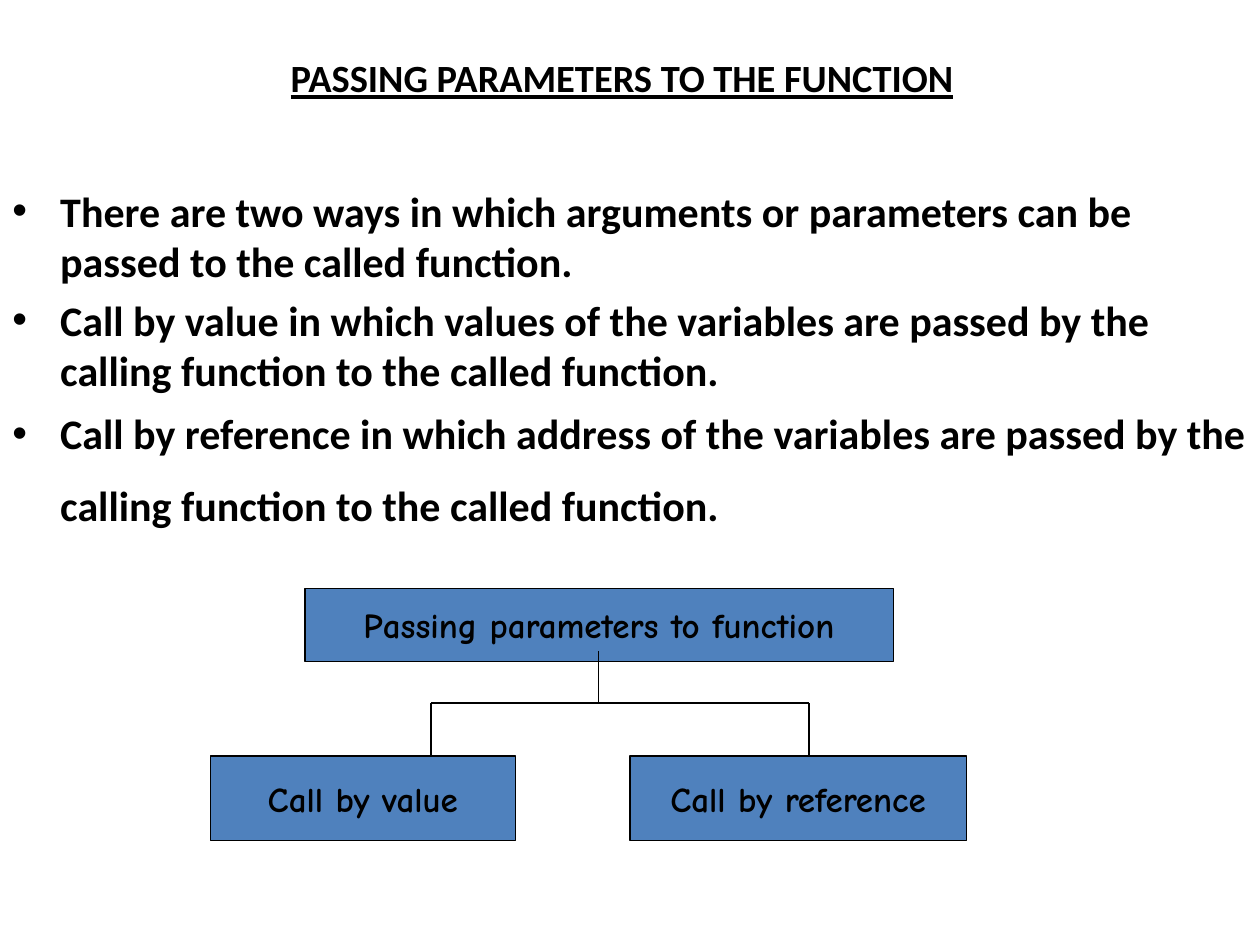
from dataclasses import dataclass

from lxml.etree import SubElement
from pptx import Presentation
from pptx.dml.color import RGBColor
from pptx.enum.shapes import MSO_CONNECTOR, MSO_SHAPE
from pptx.enum.text import MSO_ANCHOR, PP_ALIGN
from pptx.oxml.ns import qn
from pptx.slide import Slide
from pptx.text.text import TextFrame, _Paragraph
from pptx.util import Inches, Pt


@dataclass(frozen=True)
class Theme:
    ink: RGBColor = RGBColor(0x00, 0x00, 0x00)
    box_fill: RGBColor = RGBColor(0x4F, 0x81, 0xBD)
    text_font: str = "Calibri"
    diagram_font: str = "Comic Neue"
    title_size: int = 22
    title_end_size: int = 40
    bullet_size: int = 24
    bullet_end_size: int = 36
    box_size: int = 20
    line_width: float = 0.75


@dataclass(frozen=True)
class Box:
    label: str
    left: float
    top: float
    width: float
    height: float


@dataclass(frozen=True)
class Line:
    x1: float
    y1: float
    x2: float
    y2: float


THEME = Theme()
TITLE = "PASSING PARAMETERS TO THE FUNCTION"
BULLETS = (
    "There are two ways in which arguments or parameters can be passed to the called function.",
    "Call by value in which values of the variables are passed by the calling function "
    "to the called function.",
    "Call by reference in which address of the variables are passed by the calling function "
    "to the called function.",
)

BRANCH_TOP, CHILD_TOP = 5.58, 6
BRANCH_LEFT, BRANCH_RIGHT, STEM = 3.42, 6.42, 4.75
BOXES = (
    Box("Passing parameters to function", 2.42, 4.67, 4.67, 0.58),
    Box("Call by value", 1.67, CHILD_TOP, 2.42, 0.67),
    Box("Call by reference", 5, CHILD_TOP, 2.67, 0.67),
)
LINES = (
    Line(STEM, 5.17, STEM, BRANCH_TOP),
    Line(BRANCH_LEFT, BRANCH_TOP, BRANCH_RIGHT, BRANCH_TOP),
    *(Line(x, BRANCH_TOP, x, CHILD_TOP) for x in (BRANCH_LEFT, BRANCH_RIGHT)),
)


def style(paragraph: _Paragraph, font_name: str, size: int) -> None:
    font = paragraph.font
    font.name, font.size, font.bold = font_name, Pt(size), True
    font.color.rgb = THEME.ink


def add_end_space(paragraph: _Paragraph, size: int) -> None:
    """Add the larger closing space that sets the height of the last line."""
    end = paragraph.add_run()
    end.text = " "
    end.font.size = Pt(size)
    end.font.bold = end.font.underline = False


def add_text_area(slide: Slide, left: float, top: float, width: float, height: float) -> TextFrame:
    frame = slide.shapes.add_textbox(
        Inches(left), Inches(top), Inches(width), Inches(height)
    ).text_frame
    frame.word_wrap = True
    return frame


def add_title(slide: Slide) -> None:
    frame = add_text_area(slide, 0.5, 0, 9, 1.03)
    frame.vertical_anchor = MSO_ANCHOR.MIDDLE
    heading = frame.paragraphs[0]
    heading.alignment = PP_ALIGN.CENTER
    style(heading, THEME.text_font, THEME.title_size)
    heading.font.underline = True
    heading.add_run().text = TITLE
    add_end_space(heading, THEME.title_end_size)


def set_bullet(paragraph: _Paragraph) -> None:
    properties = paragraph._p.get_or_add_pPr()
    properties.set("marL", str(Inches(0.38)))
    properties.set("indent", str(-Inches(0.38)))
    bullet_font = SubElement(properties, qn("a:buFont"))
    bullet_font.set("typeface", "Arial")
    SubElement(properties, qn("a:buChar")).set("char", "•")


def add_bullets(slide: Slide) -> None:
    frame = add_text_area(slide, 0, 1.42, 10, 0.75)
    for index, sentence in enumerate(BULLETS):
        is_last = index == len(BULLETS) - 1
        bullet = frame.add_paragraph() if index else frame.paragraphs[0]
        set_bullet(bullet)
        largest = THEME.bullet_end_size if is_last else THEME.bullet_size
        bullet.space_before = Pt(0.2 * largest)
        style(bullet, THEME.text_font, THEME.bullet_size)
        bullet.add_run().text = sentence
        if is_last:
            add_end_space(bullet, THEME.bullet_end_size)


def draw_box(slide: Slide, box: Box) -> None:
    node = slide.shapes.add_shape(
        MSO_SHAPE.RECTANGLE,
        Inches(box.left), Inches(box.top), Inches(box.width), Inches(box.height),
    )
    node.shadow.inherit = False
    node.fill.solid()
    node.fill.fore_color.rgb = THEME.box_fill
    node.line.color.rgb = THEME.ink
    node.line.width = Pt(THEME.line_width)
    frame = node.text_frame
    frame.word_wrap = False
    frame.vertical_anchor = MSO_ANCHOR.MIDDLE
    label = frame.paragraphs[0]
    label.alignment = PP_ALIGN.CENTER
    style(label, THEME.diagram_font, THEME.box_size)
    label.add_run().text = box.label


def draw_line(slide: Slide, line: Line) -> None:
    branch = slide.shapes.add_connector(
        MSO_CONNECTOR.STRAIGHT,
        Inches(line.x1), Inches(line.y1), Inches(line.x2), Inches(line.y2),
    )
    branch.line.color.rgb = THEME.ink
    branch.line.width = Pt(THEME.line_width)
    SubElement(branch._element.spPr, qn("a:effectLst"))


def main() -> None:
    deck = Presentation()
    deck.slide_width, deck.slide_height = Inches(10), Inches(7.5)
    slide = deck.slides.add_slide(deck.slide_layouts[6])
    add_title(slide)
    add_bullets(slide)
    root, *children = BOXES
    draw_box(slide, root)
    for line in LINES:
        draw_line(slide, line)
    for child in children:
        draw_box(slide, child)
    deck.save("out.pptx")


if __name__ == "__main__":
    main()
